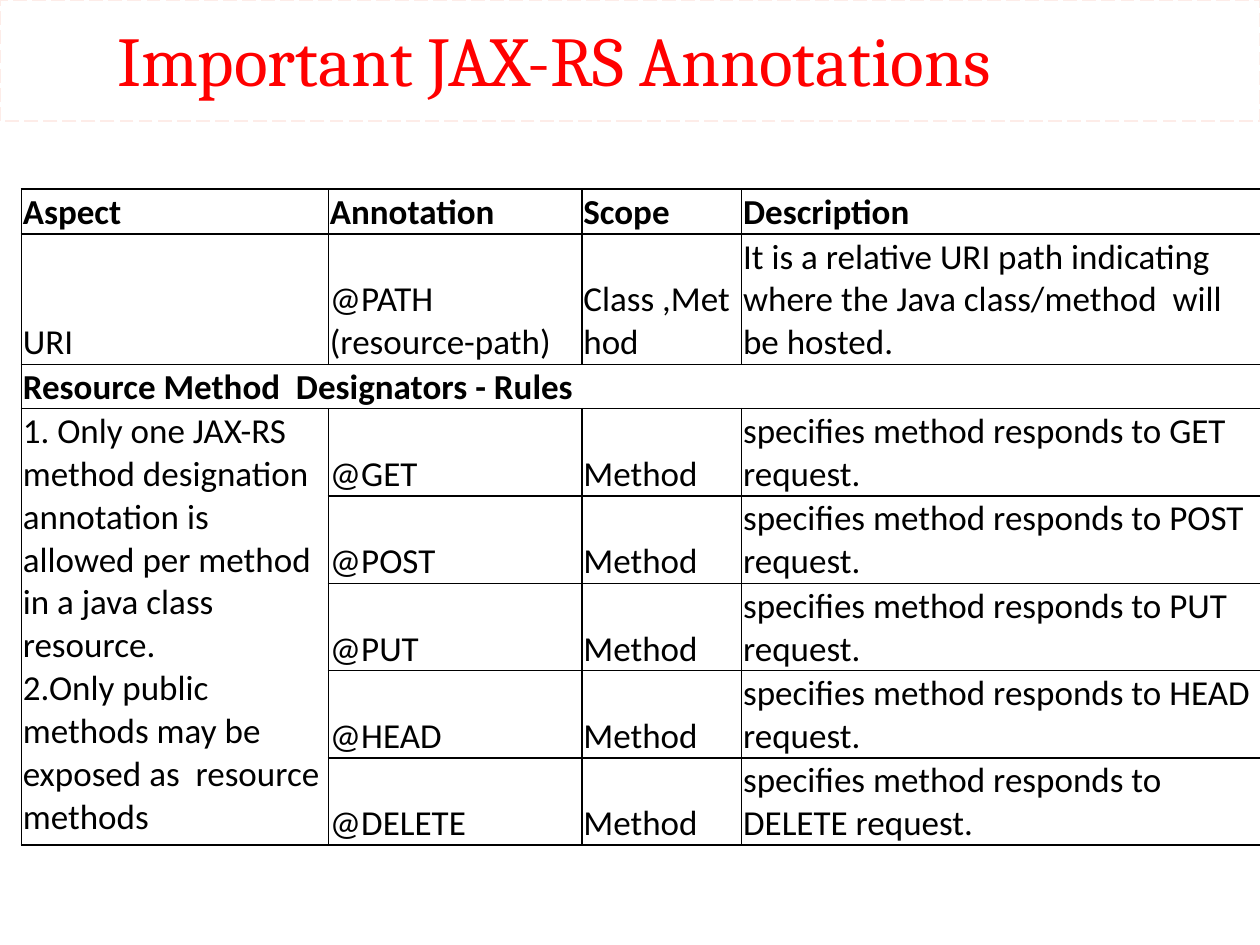
from typing import NamedTuple

from lxml.etree import SubElement
from pptx import Presentation
from pptx.dml.color import RGBColor
from pptx.enum.dml import MSO_LINE
from pptx.enum.shapes import MSO_SHAPE
from pptx.enum.text import MSO_ANCHOR, MSO_AUTO_SIZE, PP_ALIGN
from pptx.oxml.ns import qn
from pptx.util import Cm, Pt

BLACK = RGBColor(0, 0, 0)
RED = RGBColor(0xFF, 0, 0)
PALE_PINK = RGBColor(0xFD, 0xEC, 0xE8)

COL_WIDTHS = (6.19, 5.11, 3.22, 10.46)
ROW_HEIGHTS = (0.91, 2.62, 0.88) + (1.76,) * 5
VERBS = ("GET", "POST", "PUT", "HEAD", "DELETE")
FIRST_VERB_ROW = 3
RULES = (
    "1. Only one JAX-RS method designation annotation is allowed per method in a java class resource.\n"
    "2.Only public methods may be exposed as  resource methods"
)


class Entry(NamedTuple):
    row: int
    col: int
    text: str
    bold: bool = False
    anchor: MSO_ANCHOR = MSO_ANCHOR.BOTTOM
    rows: int = 1
    cols: int = 1


def table_entries() -> list[Entry]:
    headers = ("Aspect", "Annotation", "Scope", "Description")
    uri = (
        "URI",
        "@PATH (resource-path)",
        "Class ,Method",  # no-break space before the comma
        "It is a relative URI path indicating where the Java class/method  will be hosted.",
    )
    entries = [Entry(0, c, text, bold=True) for c, text in enumerate(headers)]
    entries += [Entry(1, c, text) for c, text in enumerate(uri)]
    entries.append(Entry(2, 0, "Resource Method  Designators - Rules", bold=True, cols=4))
    entries.append(Entry(FIRST_VERB_ROW, 0, RULES, anchor=MSO_ANCHOR.TOP, rows=len(VERBS)))
    for row, verb in enumerate(VERBS, FIRST_VERB_ROW):
        texts = (f"@{verb}", "Method", f"specifies method responds to {verb} request.")
        entries += [Entry(row, c, text) for c, text in enumerate(texts, 1)]
    return entries


def write_text(tf, text: str, *, font: str, size: float, color: RGBColor, bold: bool = False) -> None:
    tf.text = text
    for p in tf.paragraphs:
        p.alignment = PP_ALIGN.LEFT
        for r in p.runs:
            r.font.name = font
            r.font.size = Pt(size)
            r.font.bold = bold
            r.font.color.rgb = color


def set_borders(cell, color: RGBColor, width: float) -> None:
    """Draw all four borders; they must precede the fill in tcPr."""
    tc_pr = cell._tc.get_or_add_tcPr()
    for i, side in enumerate(("a:lnL", "a:lnR", "a:lnT", "a:lnB")):
        ln = SubElement(tc_pr, qn(side), w=str(Pt(width)))
        fill = SubElement(ln, qn("a:solidFill"))
        SubElement(fill, qn("a:srgbClr"), val=str(color))
        tc_pr.insert(i, ln)


def add_title_band(slide) -> None:
    sp = slide.shapes.add_shape(MSO_SHAPE.RECTANGLE, 0, 0, Cm(25.4), Cm(2.44))
    sp.shadow.inherit = False
    sp.fill.background()
    sp.line.color.rgb = PALE_PINK
    sp.line.width = Pt(1)
    sp.line.dash_style = MSO_LINE.LONG_DASH


def format_title(slide, text: str) -> None:
    title = slide.shapes.title
    title.left, title.top, title.width, title.height = Cm(0), Cm(-0.05), Cm(25.4), Cm(2.44)
    tf = title.text_frame
    tf.auto_size = MSO_AUTO_SIZE.NONE
    tf.vertical_anchor = MSO_ANCHOR.MIDDLE
    tf.margin_left = Cm(2.36)
    tf.margin_right = tf.margin_top = tf.margin_bottom = 0
    write_text(tf, text, font="Cambria", size=40, color=RED)


def add_annotation_table(slide, entries: list[Entry]) -> None:
    frame = slide.shapes.add_table(
        len(ROW_HEIGHTS), len(COL_WIDTHS), Cm(0.43), Cm(3.81),
        Cm(sum(COL_WIDTHS)), Cm(sum(ROW_HEIGHTS)),
    )
    table = frame.table
    table.first_row = table.horz_banding = False
    for column, width in zip(table.columns, COL_WIDTHS):
        column.width = Cm(width)
    for row, height in zip(table.rows, ROW_HEIGHTS):
        row.height = Cm(height)
    for cell in table.iter_cells():
        cell.fill.background()
        cell.margin_left = cell.margin_right = cell.margin_top = Cm(0.03)
        cell.margin_bottom = 0
        set_borders(cell, BLACK, 1)
    for e in entries:
        cell = table.cell(e.row, e.col)
        if e.rows > 1 or e.cols > 1:
            cell.merge(table.cell(e.row + e.rows - 1, e.col + e.cols - 1))
        cell.vertical_anchor = e.anchor
        write_text(cell.text_frame, e.text, font="Calibri", size=20, color=BLACK, bold=e.bold)


def main() -> None:
    prs = Presentation()
    prs.slide_width, prs.slide_height = Cm(25.4), Cm(19.05)
    slide = prs.slides.add_slide(prs.slide_layouts[5])
    add_title_band(slide)
    format_title(slide, "Important JAX-RS Annotations")
    add_annotation_table(slide, table_entries())
    prs.save("out.pptx")


if __name__ == "__main__":
    main()
